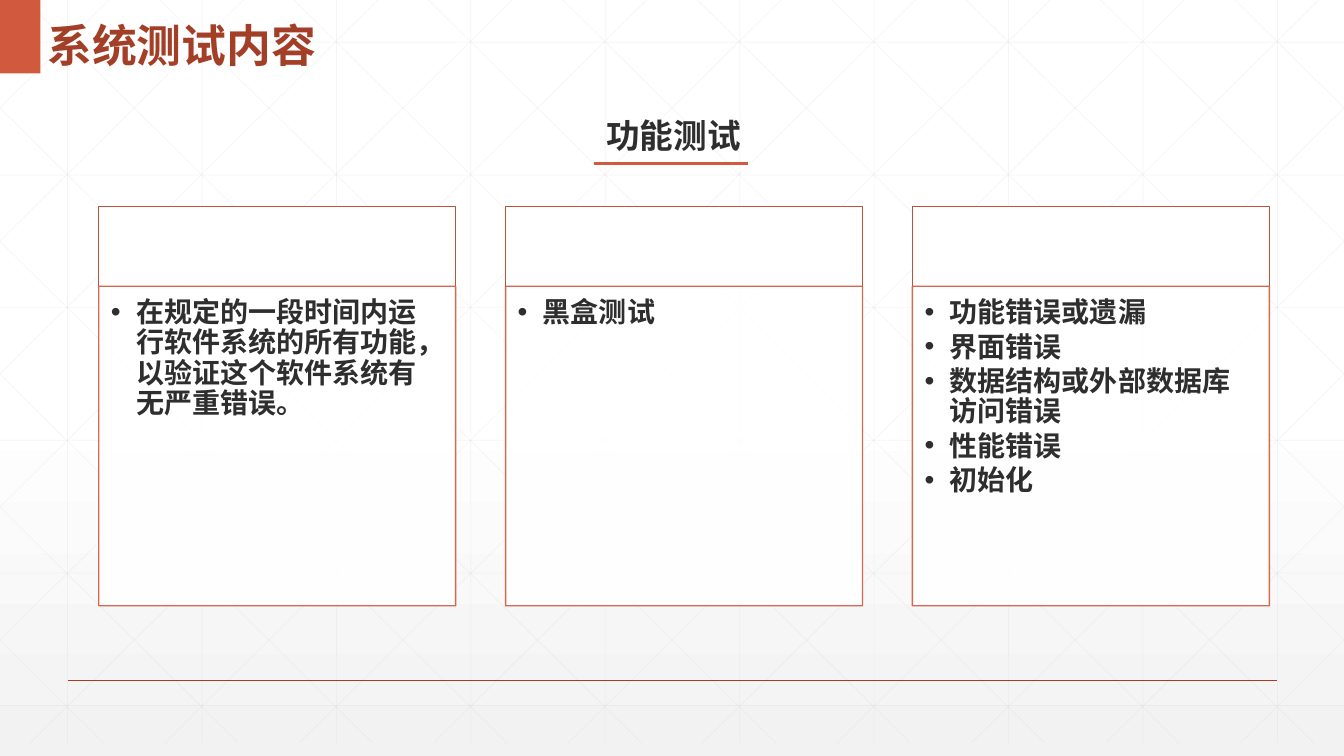
from lxml import etree
from pptx import Presentation
from pptx.dml.color import RGBColor
from pptx.enum.shapes import MSO_CONNECTOR, MSO_SHAPE
from pptx.enum.text import MSO_ANCHOR, PP_ALIGN
from pptx.oxml.ns import qn
from pptx.util import Inches, Pt

STRAIGHT = MSO_CONNECTOR.STRAIGHT
RECT = MSO_SHAPE.RECTANGLE
TOP, MIDDLE = MSO_ANCHOR.TOP, MSO_ANCHOR.MIDDLE
LEFT, CENTER = PP_ALIGN.LEFT, PP_ALIGN.CENTER

WHITE = RGBColor(0xFF, 0xFF, 0xFF)
PALE = RGBColor(0xF2, 0xF2, 0xF2)
GRAY = RGBColor(0xD9, 0xD9, 0xD9)
INK = RGBColor(0x2D, 0x2E, 0x2D)
RED = RGBColor(0xD1, 0x5A, 0x3E)
BRICK = RGBColor(0xBE, 0x52, 0x38)
DARK = RGBColor(0xA4, 0x3F, 0x27)

NOTO = "Noto Sans CJK SC"
WIDE, HIGH = 13.33, 7.5
CARDS = [
    ["在规定的一段时间内运行软件系统的所有功能，以验证这个软件系统有无严重错误。"],
    ["黑盒测试"],
    ["功能错误或遗漏", "界面错误", "数据结构或外部数据库访问错误", "性能错误", "初始化"],
]


def set_alpha(fill, percent):
    """Make a solid fill partly transparent."""
    color = fill._xPr.find(qn("a:solidFill"))[0]
    etree.SubElement(color, qn("a:alpha"), val=str(percent * 1000))


def add_line(slide, start, end, color, width, alpha=100):
    points = [Inches(n) for n in (*start, *end)]
    line = slide.shapes.add_connector(STRAIGHT, *points)
    line.line.color.rgb = color
    line.line.width = Pt(width)
    if alpha < 100:
        set_alpha(line.line.fill, alpha)
    etree.SubElement(line._element.spPr, qn("a:effectLst"))


def add_rect(slide, box, fill, edge=None, alpha=100):
    rect = slide.shapes.add_shape(RECT, *[Inches(n) for n in box])
    rect.shadow.inherit = False
    rect.fill.solid()
    rect.fill.fore_color.rgb = fill
    if edge is None:
        rect.line.fill.background()
    else:
        rect.line.color.rgb = edge
        rect.line.width = Pt(1)
    if alpha < 100:
        set_alpha(rect.fill, alpha)
        set_alpha(rect.line.fill, alpha)
    return rect


def style_text(para, size, color, spacing, align=LEFT, latin=NOTO):
    para.alignment = align
    para.line_spacing = spacing
    font = para.font
    font.size = Pt(size)
    font.bold = True
    font.color.rgb = color
    font.name = latin
    props = para._p.pPr.find(qn("a:defRPr"))
    etree.SubElement(props, qn("a:ea"), typeface=NOTO)


def add_label(slide, box, text, anchor, **style):
    label = slide.shapes.add_textbox(*[Inches(n) for n in box])
    frame = label.text_frame
    frame.word_wrap = True
    frame.vertical_anchor = anchor
    frame.text = text
    style_text(frame.paragraphs[0], **style)


def add_back(slide):
    # Gradient from white to pale gray
    fill = slide.background.fill
    fill.gradient()
    fill.gradient_angle = 270
    stops = fill._fill._gradFill.find(qn("a:gsLst"))
    for stop in list(stops):
        stops.remove(stop)
    for place, color in ((0, WHITE), (53, WHITE), (100, PALE)):
        stop = etree.SubElement(stops, qn("a:gs"), pos=str(place * 1000))
        etree.SubElement(stop, qn("a:srgbClr"), val=str(color))


def add_grid(slide, width, height):
    def draw(start, end):
        add_line(slide, start, end, GRAY, 0.5, 25)

    step = 4 / 3
    for i in range(10):
        x = 0.67 + i * step
        draw((x, 0), (x, height))
    for i in range(6):
        y = 0.42 + i * 1.316
        draw((0, y), (width, y))
    # Diagonals, cut at the slide edges, each with its mirror
    slope = 0.99
    for i in range(-5, 10):
        x = 0.25 + i * step
        left, right = max(x, 0), min(x + height / slope, width)
        top, bottom = (left - x) * slope, (right - x) * slope
        draw((left, top), (right, bottom))
        draw((width - left, top), (width - right, bottom))


def add_head(slide, x, y, height):
    add_rect(slide, (x, y, 0.4, height), RED)
    add_label(slide, (x + 0.37, y, 5.69, height), "系统测试内容", MIDDLE,
              size=32, color=DARK, spacing=1.3)


def add_topic(slide, x, y, width):
    add_label(slide, (x, y, width, 0.54), "功能测试", MIDDLE, size=24,
              color=INK, spacing=1.2, align=CENTER, latin="Arial")
    add_line(slide, (x + 5.08, y + 0.59), (x + 6.61, y + 0.59), RED, 2)


def add_card(slide, box, items):
    x, y, width, height = box
    cap = 0.79
    add_rect(slide, (x, y, width, cap), WHITE, BRICK)
    body = add_rect(slide, (x, y + cap, width, height - cap), WHITE, RED, 90)
    frame = body.text_frame
    frame.word_wrap = True
    frame.vertical_anchor = TOP
    frame.margin_left = frame.margin_top = Inches(0.12)
    frame.margin_right, frame.margin_bottom = Inches(0.16), Inches(0.17)
    frame.text = "\n".join(items)
    for para in frame.paragraphs:
        props = para._p.get_or_add_pPr()
        props.set("marL", str(Inches(0.25)))
        props.set("indent", str(-Inches(0.25)))
        etree.SubElement(props, qn("a:buFont"), typeface="Arial")
        etree.SubElement(props, qn("a:buChar"), char="•")
        style_text(para, 20, INK, 0.9)
        para.space_after = Pt(3)


def main():
    deck = Presentation()
    deck.slide_width, deck.slide_height = Inches(WIDE), Inches(HIGH)
    slide = deck.slides.add_slide(deck.slide_layouts[6])
    # Backdrop
    add_back(slide)
    add_grid(slide, WIDE, 7.37)
    add_line(slide, (0.67, 6.75), (12.67, 6.75), DARK, 1)
    # Content
    add_head(slide, 0, 0, 0.73)
    for i, items in enumerate(CARDS):
        add_card(slide, (0.98 + i * 4.035, 2.05, 3.54, 3.96), items)
    add_topic(slide, 0.81, 1.03, 11.74)
    deck.save("out.pptx")


if __name__ == "__main__":
    main()
